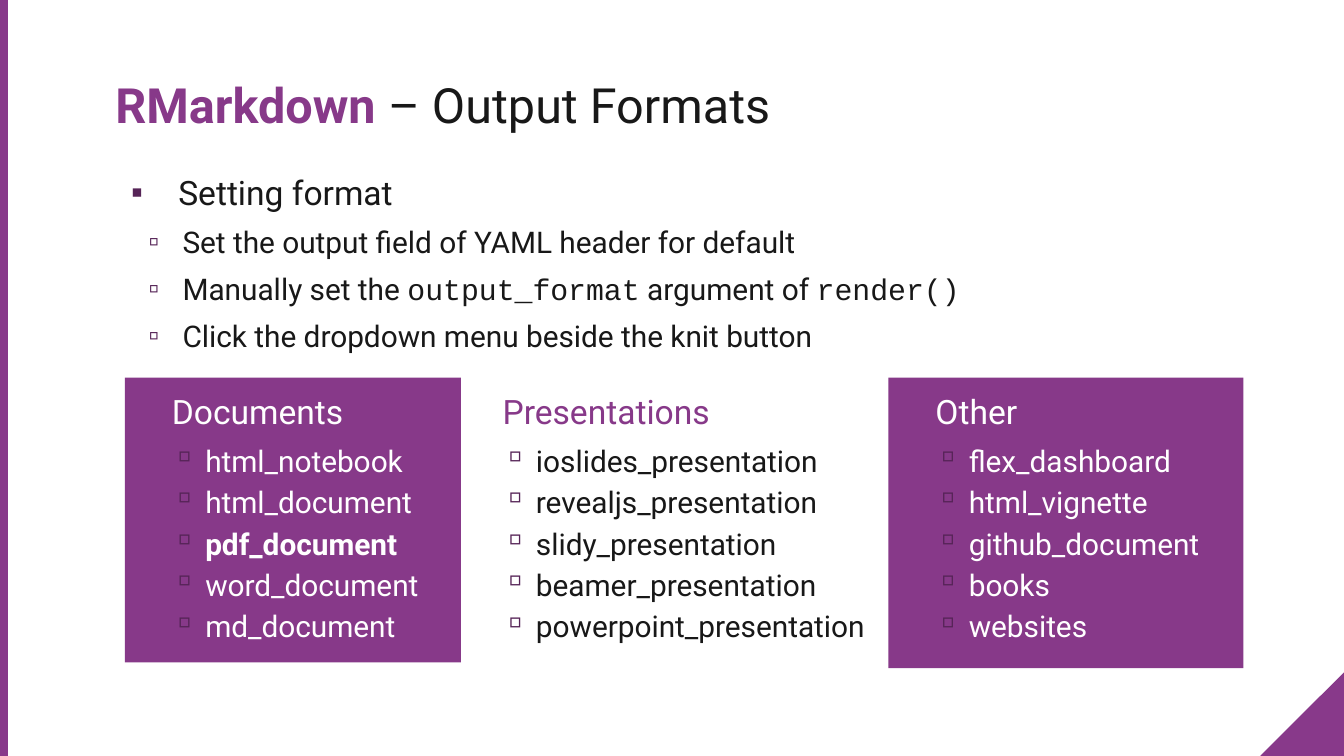
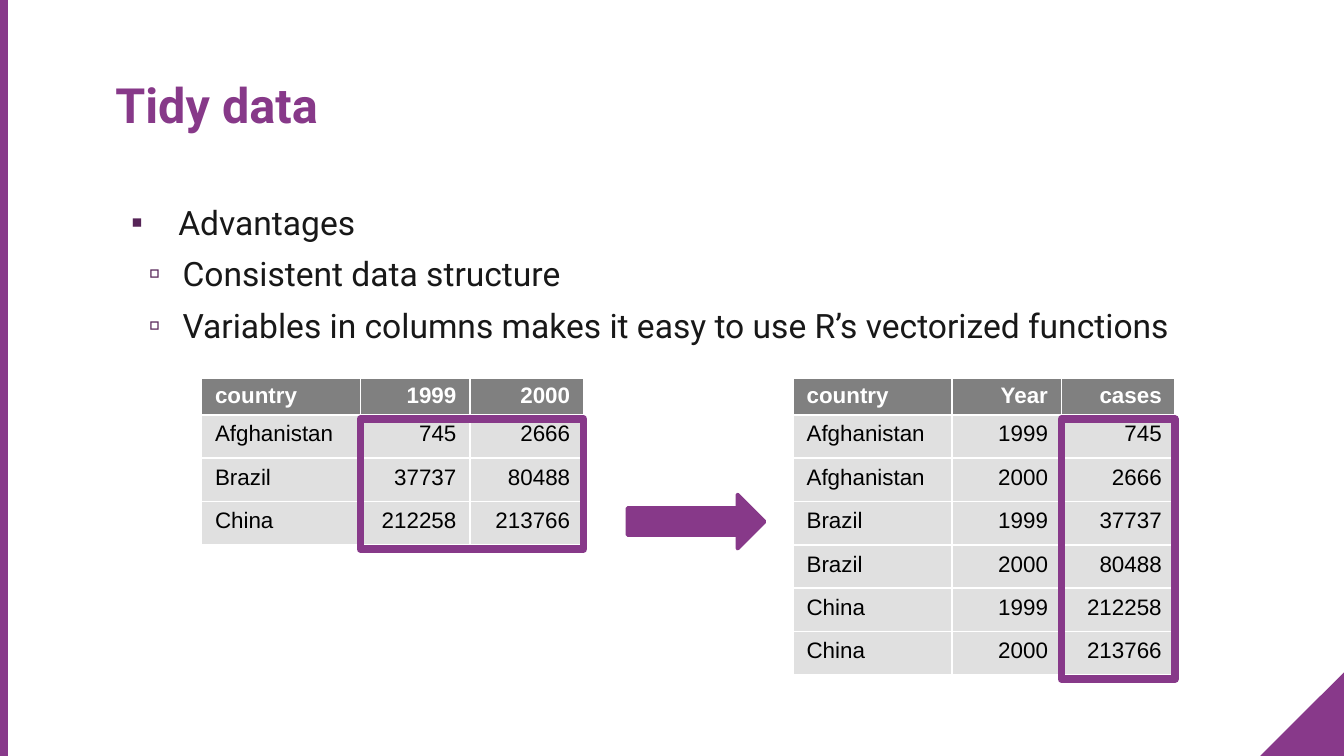
"""Build two slides on R output formats and tidy data."""
import pptx
import pptx.dml.color
import pptx.enum.shapes
import pptx.enum.text
import pptx.oxml
import pptx.oxml.ns
import pptx.util

Cm, Pt = pptx.util.Cm, pptx.util.Pt
PRESETS = pptx.enum.shapes.MSO_SHAPE
ALIGN = pptx.enum.text.PP_ALIGN
COLOURS = {
    name: pptx.dml.color.RGBColor.from_string(value)
    for name, value in {
        "band": "88398A", "accent": "873989", "bullet": "562457",
        "text": "181818", "white": "FFFFFF", "black": "000000",
        "header": "808080", "cell": "E0E0E0",
    }.items()
}
LEVELS = {
    "heading": (0.64, 0, None),
    "point": (1.19, -0.89, "▪"),
    "detail": (1.27, -0.64, "▫"),
}


def add_block(slide, preset, box, fill=None, line=None, weight=0):
    """Add a shadowless preset shape with the given fill and outline."""
    block = slide.shapes.add_shape(preset, *[Cm(length) for length in box])
    block.shadow.inherit = False
    if fill:
        block.fill.solid()
        block.fill.fore_color.rgb = COLOURS[fill]
    else:
        block.fill.background()
    if line:
        block.line.color.rgb = COLOURS[line]
        block.line.width = Pt(weight)
    else:
        block.line.fill.background()
    return block


def write_lines(frame, lines):
    """Write (level, size, space after, colour, text) lines; backticks mark code."""
    frame.word_wrap = True
    frame.auto_size = pptx.enum.text.MSO_AUTO_SIZE.NONE
    frame.vertical_anchor = pptx.enum.text.MSO_ANCHOR.TOP
    frame.margin_left = frame.margin_right = Cm(0.25)
    frame.margin_top = frame.margin_bottom = Cm(0.25)
    frame.text = "\n".join(line[-1] for line in lines)
    for paragraph, (level, size, after, colour, text) in zip(frame.paragraphs, lines):
        margin, indent, bullet = LEVELS[level]
        paragraph.level = 1 if level == "detail" else 0
        paragraph.alignment = ALIGN.LEFT
        paragraph.space_before, paragraph.space_after = Pt(0), Pt(after)
        properties = paragraph._p.get_or_add_pPr()
        properties.set("marL", str(Cm(margin)))
        properties.set("indent", str(Cm(indent)))
        marks = f'<a:buClr><a:srgbClr val="{COLOURS["bullet"]}"/></a:buClr>|<a:buChar char="{bullet}"/>'
        for mark in marks.split("|") if bullet else ["<a:buNone/>"]:
            namespaced = mark.replace(">", f' {pptx.oxml.ns.nsdecls("a")}>', 1) if "/>" != mark[-2:] or "buClr" in mark \
                else mark.replace("/>", f' {pptx.oxml.ns.nsdecls("a")}/>')
            properties.append(pptx.oxml.parse_xml(namespaced))
        pieces = text.split("`")
        paragraph.text = pieces[0]
        for piece in pieces[1:]:
            paragraph.add_run().text = piece
        for position, run in enumerate(paragraph.runs):
            run.font.name = "Courier New" if position % 2 else "Roboto"
            run.font.size = Pt(size)
            run.font.color.rgb = COLOURS[colour]


deck = pptx.Presentation()
deck.slide_width, deck.slide_height = Cm(25.4), Cm(14.29)
layout = deck.slide_layouts[1]
formats = deck.slides.add_slide(layout)
tidy = deck.slides.add_slide(layout)

corner = add_block(formats, PRESETS.RIGHT_TRIANGLE, (23.82, 12.71, 1.58, 1.58), "band")
corner.element.spPr.get_or_add_xfrm().set("flipH", "1")
edge = add_block(formats, PRESETS.RECTANGLE, (0, 0, 0.15, 14.29), "band")
for position, decoration in enumerate((corner, edge), 2):
    layout.element.cSld.spTree.insert(position, decoration.element)

for slide, width, topic, rest, body_box, points in (
    (formats, 15.65, "RMarkdown", " – Output Formats", (1.93, 3, 21.56, 3.94), [
        ("point", 18, 6, "text", "Setting format"),
        ("detail", 16, 6, "text", "Set the output field of YAML header for default"),
        ("detail", 16, 6, "text", "Manually set the `output_format` argument of `render()"),
        ("detail", 16, 12, "text", "Click the dropdown menu beside the knit button"),
    ]),
    (tidy, 8.97, "Tidy data", "", (1.93, 3.56, 20.7, 3.23), [
        ("point", 18, 6, "text", "Advantages"),
        ("detail", 18, 6, "text", "Consistent data structure"),
        ("detail", 18, 6, "text", "Variables in columns makes it easy to use R’s vectorized functions"),
    ]),
):
    title, body = slide.shapes.title, slide.placeholders[1]
    title.left, title.top, title.width, title.height = Cm(1.93), Cm(1.17), Cm(width), Cm(2.39)
    write_lines(title.text_frame, [("heading", 26, 0, "accent", topic)])
    heading = title.text_frame.paragraphs[0]
    heading._p.get_or_add_pPr().set("marL", "0")
    heading.runs[0].font.bold = True
    if rest:
        remainder = heading.add_run()
        remainder.text = rest
        remainder.font.name, remainder.font.size = "Roboto", Pt(26)
        remainder.font.bold = False
        remainder.font.color.rgb = COLOURS["text"]
    body.left, body.top, body.width, body.height = [Cm(length) for length in body_box]
    write_lines(body.text_frame, points)

for box, fill, heading_colour, colour, family, members in (
    ((8.61, 7.14, 8.15, 5.38), None, "accent", "text", "Presentations",
     ("ioslides_presentation", "revealjs_presentation", "slidy_presentation",
      "beamer_presentation", "powerpoint_presentation")),
    ((16.79, 7.14, 6.71, 5.49), "accent", "white", "white", "Other",
     ("flex_dashboard", "html_vignette", "github_document", "books", "websites")),
    ((2.36, 7.14, 6.35, 5.38), "accent", "white", "white", "Documents",
     ("html_notebook", "html_document", "pdf_document", "word_document", "md_document")),
):
    if fill:
        panel = add_block(formats, PRESETS.RECTANGLE, box, fill)
    else:
        panel = formats.shapes.add_textbox(*[Cm(length) for length in box])
    write_lines(panel.text_frame, [("heading", 18, 6, heading_colour, family)]
                + [("detail", 16, 3, colour, member) for member in members])
    for paragraph in panel.text_frame.paragraphs:
        if paragraph.text == "pdf_document":
            paragraph.runs[0].font.bold = True

countries = ("Afghanistan", "Brazil", "China")
years = ("1999", "2000")
cases = (("745", "2666"), ("37737", "80488"), ("212258", "213766"))
wide = [("country", *years)] + [(country, *pair) for country, pair in zip(countries, cases)]
long = [("country", "Year", "cases")] + [
    (country, year, count)
    for country, pair in zip(countries, cases)
    for year, count in zip(years, pair)
]
column_widths = (3, 2.07, 2.15)
table_top, header_height, row_height = 7.14, 0.7, 0.82

for left, records in ((3.81, wide), (14.99, long)):
    height = header_height + row_height * (len(records) - 1)
    grid = tidy.shapes.add_table(len(records), 3, Cm(left), Cm(table_top),
                                 Cm(sum(column_widths)), Cm(height)).table
    for column, width in zip(grid.columns, column_widths):
        column.width = Cm(width)
    for row, record in enumerate(records):
        grid.rows[row].height = Cm(row_height if row else header_height)
        for column, value in enumerate(record):
            cell = grid.cell(row, column)
            cell.margin_top = cell.margin_bottom = Cm(0.13 if row else 0.1)
            for side in "LRTB":
                cell._tc.get_or_add_tcPr().append(pptx.oxml.parse_xml(
                    f'<a:ln{side} {pptx.oxml.ns.nsdecls("a")} w="{Pt(1)}"><a:solidFill>'
                    f'<a:srgbClr val="{COLOURS["white"]}"/></a:solidFill></a:ln{side}>'))
            cell.fill.solid()
            cell.fill.fore_color.rgb = COLOURS["cell" if row else "header"]
            cell.text_frame.text = value
            entry = cell.text_frame.paragraphs[0]
            entry.alignment = ALIGN.RIGHT if column else ALIGN.LEFT
            font = entry.runs[0].font
            font.name, font.size, font.bold = "Arial", Pt(12), row == 0
            font.color.rgb = COLOURS["black" if row else "white"]

for left, first_column, records in ((3.81, 1, wide), (14.99, 2, long)):
    add_block(tidy, PRESETS.RECTANGLE,
              (left + sum(column_widths[:first_column]), 7.92,
               sum(column_widths[first_column:]), row_height * (len(records) - 1)),
              line="accent", weight=4)
add_block(tidy, PRESETS.RIGHT_ARROW, (11.86, 9.35, 2.59, 1.02), "accent", "accent", 2)

deck.save("out.pptx")
